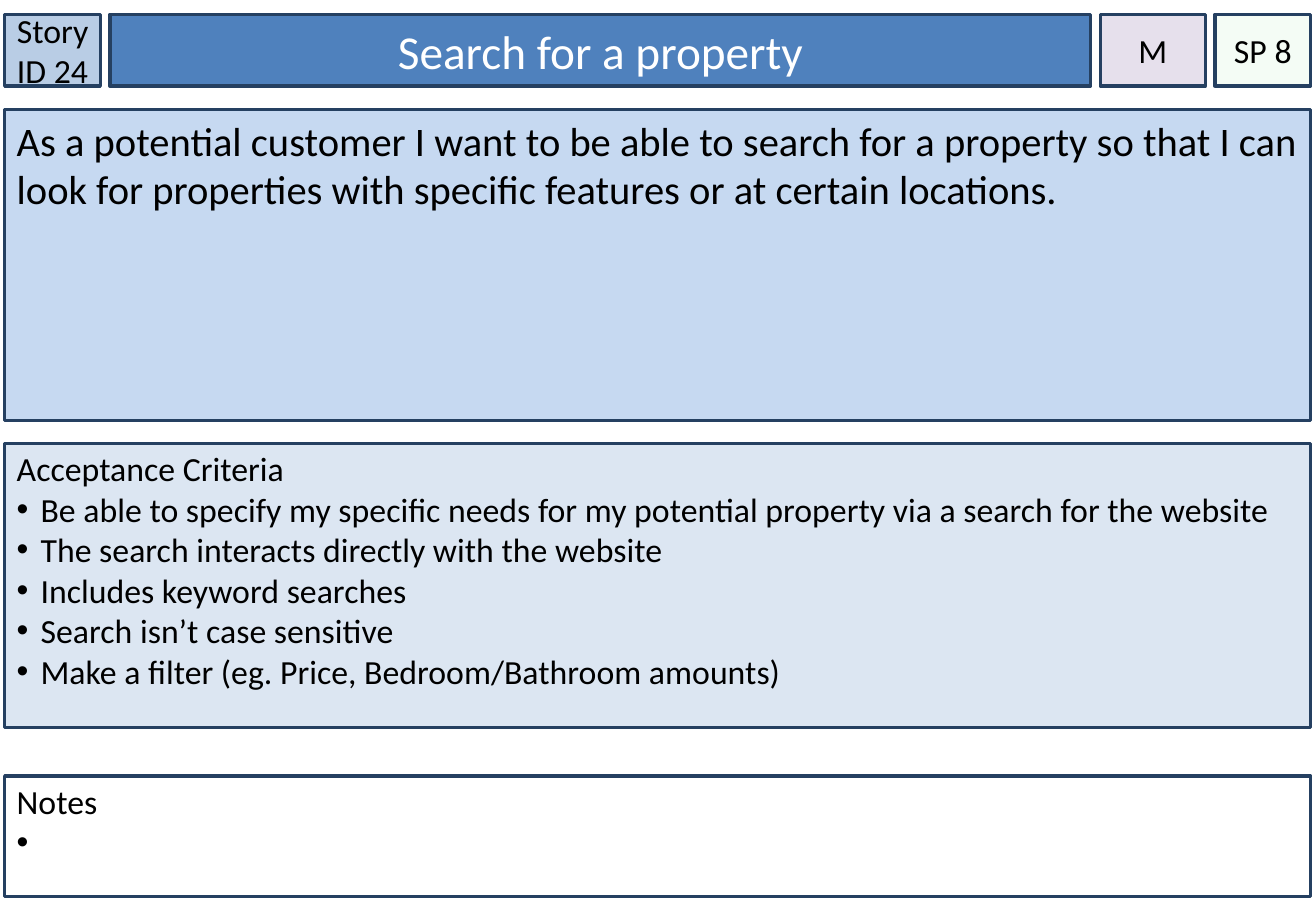
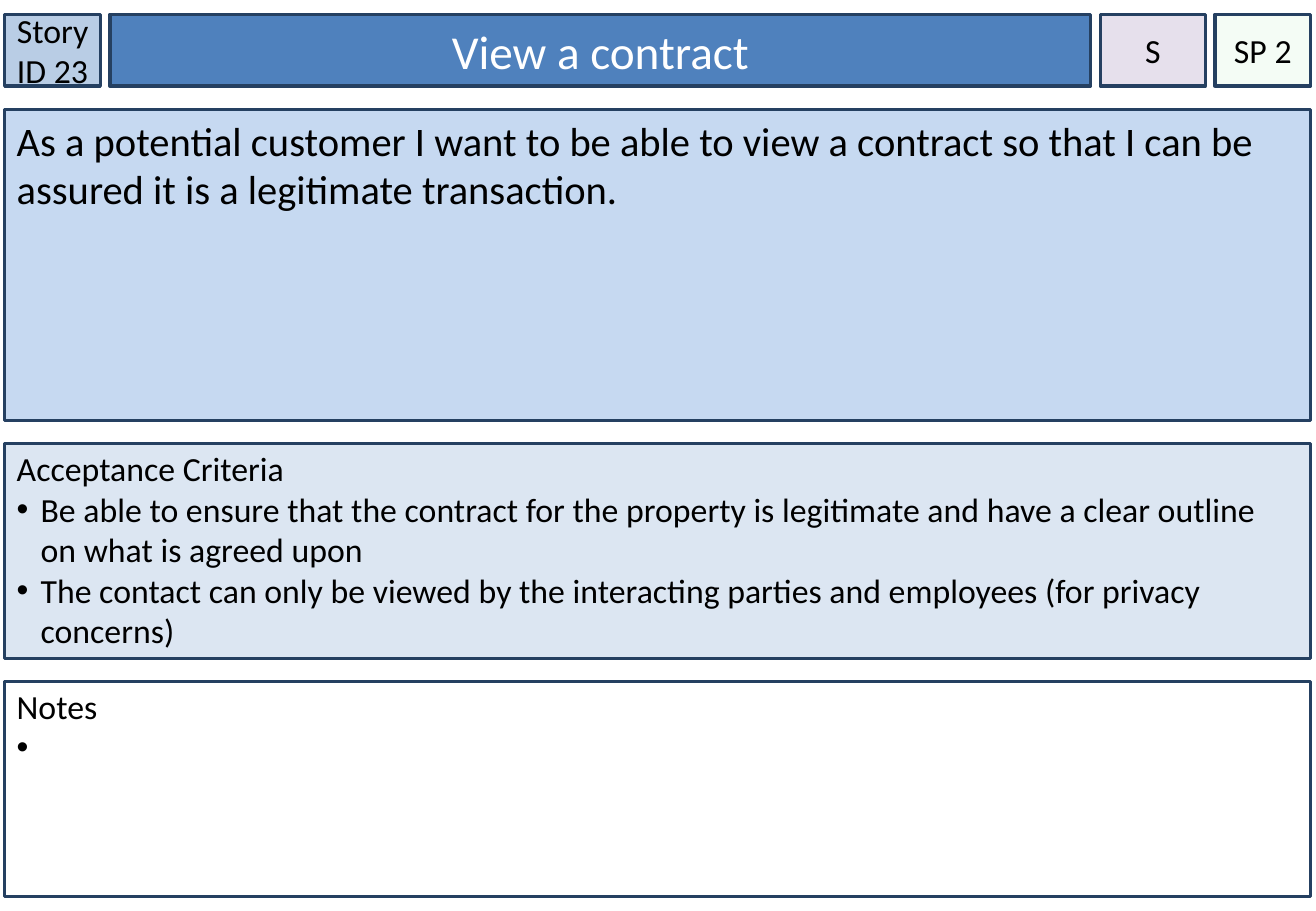
from pptx import Presentation
from pptx.dml.color import RGBColor
from pptx.enum.shapes import MSO_SHAPE
from pptx.enum.text import MSO_ANCHOR, PP_ALIGN
from pptx.oxml.ns import qn
from pptx.util import Cm, Pt
from lxml import etree

RECT = MSO_SHAPE.RECTANGLE
TOP, MIDDLE = MSO_ANCHOR.TOP, MSO_ANCHOR.MIDDLE
LEFT, CENTER = PP_ALIGN.LEFT, PP_ALIGN.CENTER

# Shared look
FONT = "Calibri"
BLACK, WHITE, NAVY = "000000", "FFFFFF", "254061"
BADGE_BLUE, TITLE_BLUE = "B9CDE5", "4F81BD"
STORY_BLUE, CRITERIA_BLUE = "C6D9F1", "DCE6F2"
LILAC, GREEN = "E6E0EC", "CCF0CD"

# Shared layout, in centimetres
SLIDE_W, SLIDE_H = 27.51, 19.05
EDGE, CARD_W = 0.1, 27.3
HEADER_Y, HEADER_H = 0.3, 1.5
STORY_Y, STORY_H = 2.29, 6.5
CRITERIA_Y, NOTES_BOTTOM = 9.27, 18.75
BULLET_INDENT = 0.5
BADGE_INSETS = (0, 0.13)
PANEL_INSETS = (0.25, 0.1)
TEXT_INSETS = (0.25, 0.13)

STORIES = [
    dict(id="Story ID 24", title="Search for a property", priority="M", points="SP 8",
         story="As a potential customer I want to be able to search for a property "
               "so that I can look for properties with specific features or at "
               "certain locations.",
         criteria=["Be able to specify my specific needs for my potential property "
                   "via a search for the website",
                   "The search interacts directly with the website",
                   "Includes keyword searches",
                   "Search isn’t case sensitive",
                   "Make a filter (eg. Price, Bedroom/Bathroom amounts)"],
         criteria_h=5.94, notes_y=16.23),
    dict(id="Story ID 23", title="View a contract", priority="S", points="SP 2",
         story="As a potential customer I want to be able to view a contract so that "
               "I can be assured it is a legitimate transaction.",
         criteria=["Be able to ensure that the contract for the property is legitimate "
                   "and have a clear outline on what is agreed upon",
                   "The contact can only be viewed by the interacting parties and "
                   "employees (for privacy concerns)"],
         criteria_h=4.5, notes_y=14.25),
]


def rgb(color):
    return RGBColor.from_string(color)


def add_box(s, x, y, w, h, fill, insets=TEXT_INSETS, anchor=TOP, wrap=True):
    """Add an outlined rectangle and return it, ready for text."""
    sp = s.shapes.add_shape(RECT, Cm(x), Cm(y), Cm(w), Cm(h))
    sp.shadow.inherit = False
    sp.fill.solid()
    sp.fill.fore_color.rgb = rgb(fill)
    sp.line.color.rgb = rgb(NAVY)
    sp.line.width = Pt(2)
    tf = sp.text_frame
    tf.word_wrap = wrap
    tf.vertical_anchor = anchor
    tf.margin_left = tf.margin_right = Cm(insets[0])
    tf.margin_top, tf.margin_bottom = Cm(insets[1]), Cm(0.13)
    return sp


def write(p, text, size=20, color=BLACK, align=LEFT):
    p.alignment = align
    r = p.add_run()
    r.text = text
    r.font.name = FONT
    r.font.size = Pt(size)
    r.font.color.rgb = rgb(color)


def set_bullet(p):
    pPr = p._p.get_or_add_pPr()
    pPr.set("marL", str(Cm(BULLET_INDENT)))
    pPr.set("indent", str(-Cm(BULLET_INDENT)))
    etree.SubElement(pPr, qn("a:buFont")).set("typeface", "Arial")
    etree.SubElement(pPr, qn("a:buChar")).set("char", "•")


def set_opacity(sp, percent):
    color = sp.fill._xPr.find(qn("a:solidFill"))[0]
    etree.SubElement(color, qn("a:alpha")).set("val", str(percent * 1000))


def add_header_box(s, x, w, fill, text, size=20, color=BLACK,
                   insets=BADGE_INSETS, wrap=True):
    sp = add_box(s, x, HEADER_Y, w, HEADER_H, fill, insets, MIDDLE, wrap)
    write(sp.text_frame.paragraphs[0], text, size, color, CENTER)
    return sp


def add_list_panel(s, y, h, fill, heading, items):
    tf = add_box(s, EDGE, y, CARD_W, h, fill, PANEL_INSETS).text_frame
    write(tf.paragraphs[0], heading)
    for item in items:
        p = tf.add_paragraph()
        write(p, item)
        set_bullet(p)


def add_story_card(prs, card):
    s = prs.slides.add_slide(prs.slide_layouts[6])

    # Header row
    add_header_box(s, EDGE, 2, BADGE_BLUE, card["id"])
    add_header_box(s, 2.3, 20.5, TITLE_BLUE, card["title"], 28, WHITE, TEXT_INSETS)

    # User story
    sp = add_box(s, EDGE, STORY_Y, CARD_W, STORY_H, STORY_BLUE)
    write(sp.text_frame.paragraphs[0], card["story"], 24)

    # Acceptance criteria
    add_list_panel(s, CRITERIA_Y, card["criteria_h"], CRITERIA_BLUE,
                   "Acceptance Criteria", card["criteria"])

    # Story points and priority
    points = add_header_box(s, 25.4, 2, GREEN, card["points"])
    set_opacity(points, 20)
    add_header_box(s, 23, 2.2, LILAC, card["priority"], wrap=False)

    # Notes, with one bullet left open
    add_list_panel(s, card["notes_y"], NOTES_BOTTOM - card["notes_y"], WHITE,
                   "Notes", [" "])


def main():
    prs = Presentation()
    prs.slide_width, prs.slide_height = Cm(SLIDE_W), Cm(SLIDE_H)
    for card in STORIES:
        add_story_card(prs, card)
    prs.save("out.pptx")


main()
